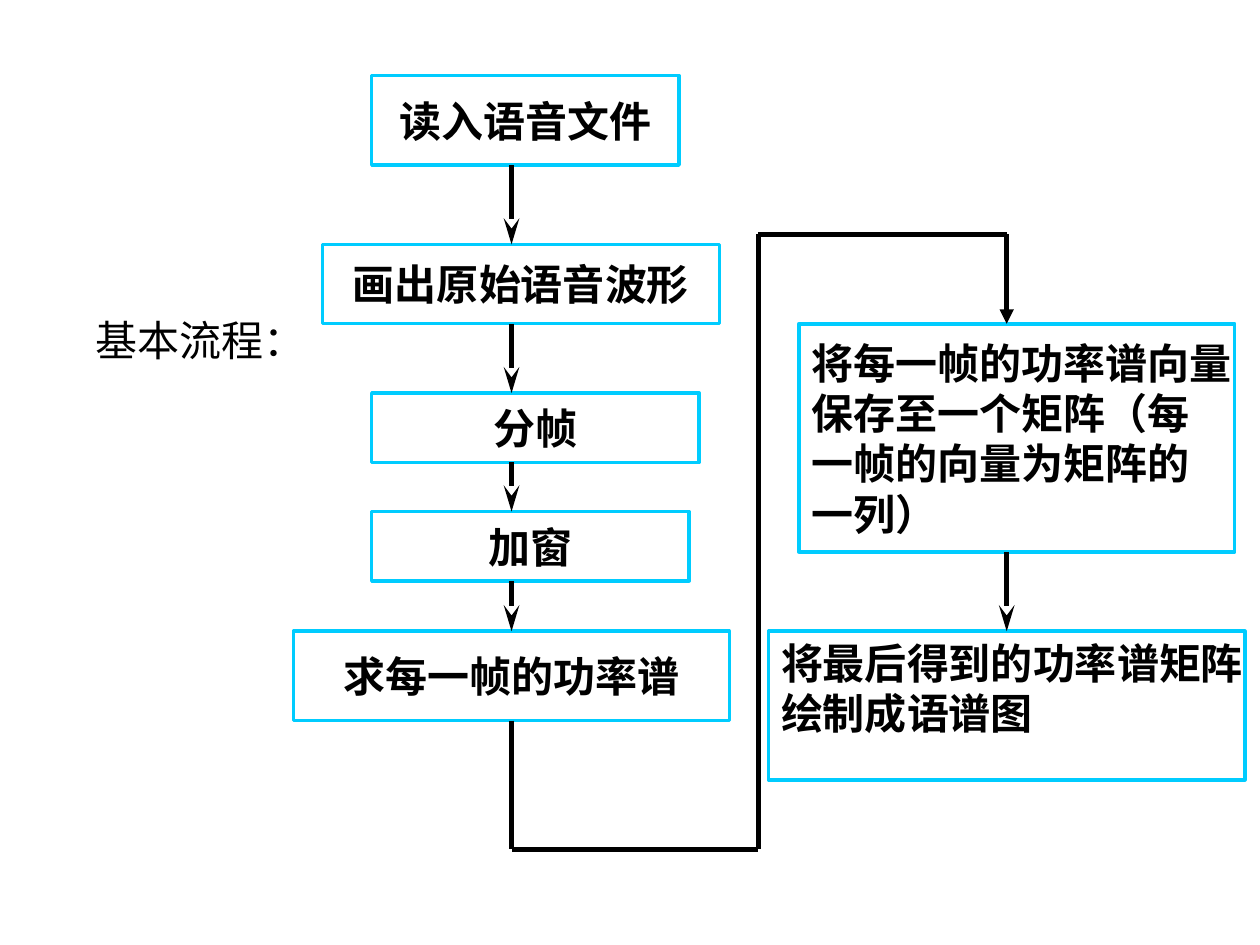
from lxml import etree
from pptx import Presentation
from pptx import util as u
from pptx.dml.color import RGBColor
from pptx.enum import shapes, text
from pptx.oxml import ns

BLACK = RGBColor(0, 0, 0)
WHITE = RGBColor(255, 255, 255)
CYAN = RGBColor(0, 0xCC, 0xFF)
LATIN, CJK = "Arial", "Noto Sans CJK SC"
CENTER, LEFT = text.PP_ALIGN.CENTER, text.PP_ALIGN.LEFT
MIDDLE, TOP = text.MSO_ANCHOR.MIDDLE, text.MSO_ANCHOR.TOP

# Content: lines, (left, top, width, height), alignment, anchor
HEADING = "基本流程："
STEPS = {
    "read": (["读入语音文件"], (2.95, 0.6, 2.44, 0.71), CENTER, MIDDLE),
    "plot": (["画出原始语音波形"], (2.56, 1.94, 3.15, 0.63), CENTER, MIDDLE),
    "frame": (["分帧"], (2.95, 3.12, 2.6, 0.55), CENTER, MIDDLE),
    "window": (["加窗"], (2.95, 4.06, 2.52, 0.55), CENTER, MIDDLE),
    "power": (["求每一帧的功率谱"], (2.33, 5.01, 3.46, 0.71), CENTER, MIDDLE),
    "matrix": (["将每一帧的功率谱向量", "保存至一个矩阵（每", "一帧的向量为矩阵的", "一列）"],
               (6.34, 2.57, 3.46, 1.81), LEFT, MIDDLE),
    "draw": (["将最后得到的功率谱矩阵", "绘制成语谱图"],
             (6.1, 5.01, 3.78, 1.18), LEFT, TOP),
}
LEFT_AXIS, RIGHT_AXIS = 4.06, 7.99
FLOW = [("read", "plot", LEFT_AXIS), ("plot", "frame", LEFT_AXIS),
        ("frame", "window", LEFT_AXIS), ("window", "power", LEFT_AXIS),
        ("matrix", "draw", RIGHT_AXIS)]
# Corners of the route from the power step round to the matrix step
DETOUR = [(LEFT_AXIS, 5.72), (LEFT_AXIS, 6.74), (6.02, 6.74),
          (6.02, 1.86), (RIGHT_AXIS, 1.86), (RIGHT_AXIS, 2.57)]

deck = Presentation()
deck.slide_width, deck.slide_height = u.Inches(10), u.Inches(7.5)
slide = deck.slides.add_slide(deck.slide_layouts[6])


def write(frame, lines, align, anchor, latin, bold):
    frame.vertical_anchor = anchor
    for index, line in enumerate(lines):
        paragraph = frame.paragraphs[0] if index == 0 else frame.add_paragraph()
        paragraph.alignment = align
        run = paragraph.add_run()
        run.text = line
        run.font.size, run.font.bold, run.font.name = u.Pt(24), bold, latin
        run.font.color.rgb = BLACK
        etree.SubElement(run.font._element, ns.qn("a:ea"), typeface=CJK)


def add_step(lines, place, align, anchor):
    step = slide.shapes.add_shape(shapes.MSO_SHAPE.RECTANGLE, *map(u.Inches, place))
    step.shadow.inherit = False
    step.fill.solid()
    step.fill.fore_color.rgb = WHITE
    step.line.color.rgb, step.line.width = CYAN, u.Pt(2)
    step.text_frame.word_wrap = False
    write(step.text_frame, lines, align, anchor, LATIN, True)
    return step


def add_line(start, end, width, head=None, length="med"):
    line = slide.shapes.add_connector(
        shapes.MSO_CONNECTOR.STRAIGHT, *map(u.Inches, (*start, *end)))
    line.line.color.rgb, line.line.width = BLACK, u.Pt(width)
    if head:
        etree.SubElement(line.line._get_or_add_ln(), ns.qn("a:tailEnd"),
                         type=head, w="med", len=length)
    etree.SubElement(line._element.spPr, ns.qn("a:effectLst"))
    return line


def centred(name, x):
    left, _, width, _ = STEPS[name][1]
    return abs(left + width / 2 - x) < 0.005


# Heading
heading = slide.shapes.add_textbox(*map(u.Inches, (0.66, 2.4, 1.85, 0.6)))
heading.text_frame.word_wrap = True
write(heading.text_frame, [HEADING], LEFT, MIDDLE, CJK, False)

# Steps
boxes = {name: add_step(*step) for name, step in STEPS.items()}

# Arrows between neighbouring steps
for source, target, x in FLOW:
    _, top, _, height = STEPS[source][1]
    arrow = add_line((x, top + height), (x, STEPS[target][1][1]), 3, "stealth", "lg")
    if centred(target, x):
        arrow.end_connect(boxes[target], 0)

# Route to the second column
segments = list(zip(DETOUR, DETOUR[1:]))
route = [add_line(start, end, 2.75, "triangle" if end == DETOUR[-1] else None)
         for start, end in segments]
route[0].begin_connect(boxes["power"], 2)

deck.save("out.pptx")
